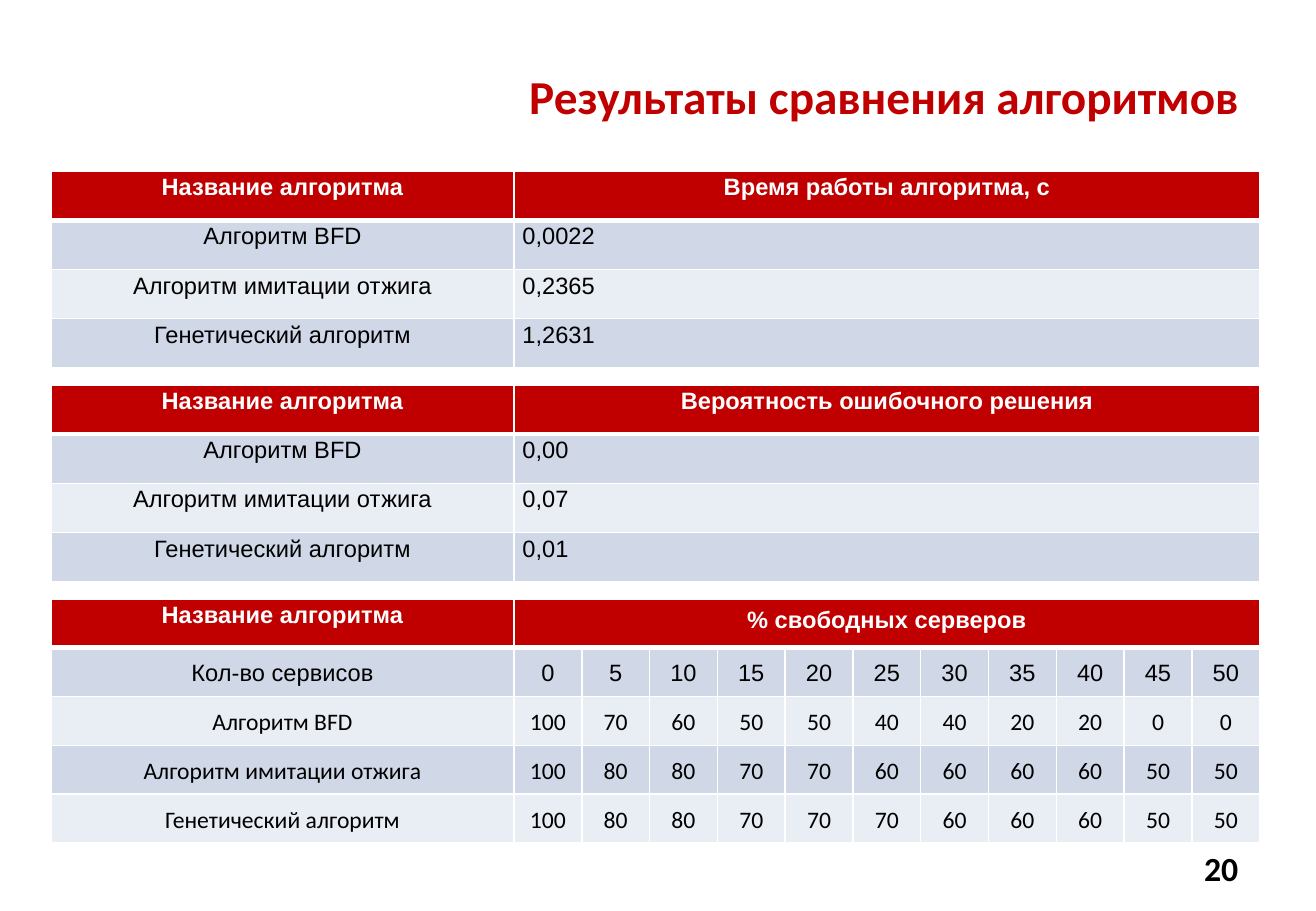
from lxml.etree import SubElement
from pptx import Presentation
from pptx.dml.color import RGBColor as RGB
from pptx.enum.text import MSO_ANCHOR as Anchor, MSO_AUTO_SIZE as AutoSize, PP_ALIGN as Align
from pptx.oxml.ns import qn
from pptx.util import Inches, Pt

COLORS = {"red": "C00000", "white": "FFFFFF", "black": "000000",
          "odd": "D0D8E8", "even": "E9EDF4"}
NAME = "Название алгоритма"
ALGORITHMS = ["Алгоритм BFD", "Алгоритм имитации отжига", "Генетический алгоритм"]
LEFT, WIDTH, NAME_WIDTH = 0.42, 9.95, 3.81

SINGLE_VALUE_TABLES = [
    (1.41, "Время работы алгоритма, с", ["0,0022", "0,2365", "1,2631"]),
    (3.17, "Вероятность ошибочного решения", ["0,00", "0,07", "0,01"]),
]
SERVICES = range(0, 51, 5)
FREE_SERVERS = [
    [100, 70, 60, 50, 50, 40, 40, 20, 20, 0, 0],
    [100, 80, 80, 70, 70, 60, 60, 60, 60, 50, 50],
    [100, 80, 80, 70, 70, 70, 60, 60, 60, 50, 50],
]


def write(tf, text, size=14, font="Arial", color="black", bold=False,
          align=Align.CENTER, line=None, after=None):
    p = tf.paragraphs[0]
    p.alignment, p.line_spacing = align, line
    if after is not None:
        p.space_after = Pt(after)
    r = p.add_run()
    r.text = text
    r.font.size, r.font.name, r.font.bold = Pt(size), font, bold
    r.font.color.rgb = RGB.from_string(COLORS[color])


def set_borders(cell, row):
    """White cell lines, with a thick one between the header and row 1."""
    tc_pr = cell._tc.get_or_add_tcPr()
    for side in "LRTB":
        thick = (row, side) in ((0, "B"), (1, "T"))
        ln = SubElement(tc_pr, qn(f"a:ln{side}"), w=str(Pt(3 if thick else 1)))
        fill = SubElement(ln, qn("a:solidFill"))
        SubElement(fill, qn("a:srgbClr"), val=COLORS["white"])


class ResultsSlide:
    def __init__(self, prs):
        self.s = prs.slides.add_slide(prs.slide_layouts[5])

    def format_box(self, sp, box, text, **fmt):
        sp.left, sp.top, sp.width, sp.height = map(Inches, box)
        tf = sp.text_frame
        tf.word_wrap, tf.auto_size = True, AutoSize.NONE
        tf.vertical_anchor = Anchor.MIDDLE
        write(tf, text, font="Calibri", bold=True, align=Align.RIGHT, **fmt)

    def title(self, text):
        self.format_box(self.s.shapes.title, (0.54, 0.48, 9.75, 0.61), text,
                        size=28, color="red")

    def page_number(self, text):
        box = (7.76, 6.95, 2.53, 0.4)
        sp = self.s.shapes.add_textbox(*map(Inches, box))
        self.format_box(sp, box, text, size=20)

    def table(self, top, height, widths, rows):
        table = self.s.shapes.add_table(len(rows), len(widths), Inches(LEFT), Inches(top),
                                        Inches(WIDTH), Inches(height)).table
        for column, width in zip(table.columns, widths):
            column.width = Inches(width)
        for i, row in enumerate(rows):
            for j in range(len(widths)):
                cell = table.cell(i, j)
                set_borders(cell, i)
                cell.fill.solid()
                fill = "red" if i == 0 else ("even", "odd")[i % 2]
                cell.fill.fore_color.rgb = RGB.from_string(COLORS[fill])
                cell.margin_left = cell.margin_right = Inches(0.07)
                cell.margin_top, cell.margin_bottom = Inches(0.01), 0
                if j < len(row):
                    self.fill_cell(cell, str(row[j]), i, j, len(widths) > 2)
        return table

    def fill_cell(self, cell, text, i, j, wide):
        header = i == 0
        if wide and not header:
            cell.vertical_anchor = Anchor.MIDDLE
        write(cell.text_frame, text, bold=header, color="white" if header else "black",
              font="Calibri" if wide and i > 1 else "Arial",
              align=Align.CENTER if header or wide or j == 0 else Align.LEFT,
              line=1.07, after=8)


def main():
    prs = Presentation()
    prs.slide_width, prs.slide_height = Inches(10.83), Inches(7.5)
    slide = ResultsSlide(prs)
    slide.title("Результаты сравнения алгоритмов")
    slide.page_number("20")

    for top, header, values in SINGLE_VALUE_TABLES:
        slide.table(top, 1.62, [NAME_WIDTH, WIDTH - NAME_WIDTH],
                    [(NAME, header), *zip(ALGORITHMS, values)])

    count = len(SERVICES)
    rows = [[NAME, "% свободных серверов"], ["Кол-во сервисов", *SERVICES]]
    rows += [[name, *values] for name, values in zip(ALGORITHMS, FREE_SERVERS)]
    widths = [NAME_WIDTH] + [(WIDTH - NAME_WIDTH) / count] * count
    table = slide.table(4.93, 2.01, widths, rows)
    header = table.cell(0, 1)
    header.merge(table.cell(0, count))
    header.margin_left = header.margin_right = Inches(0.1)
    header.margin_top = header.margin_bottom = Inches(0.05)

    prs.save("out.pptx")


if __name__ == "__main__":
    main()
